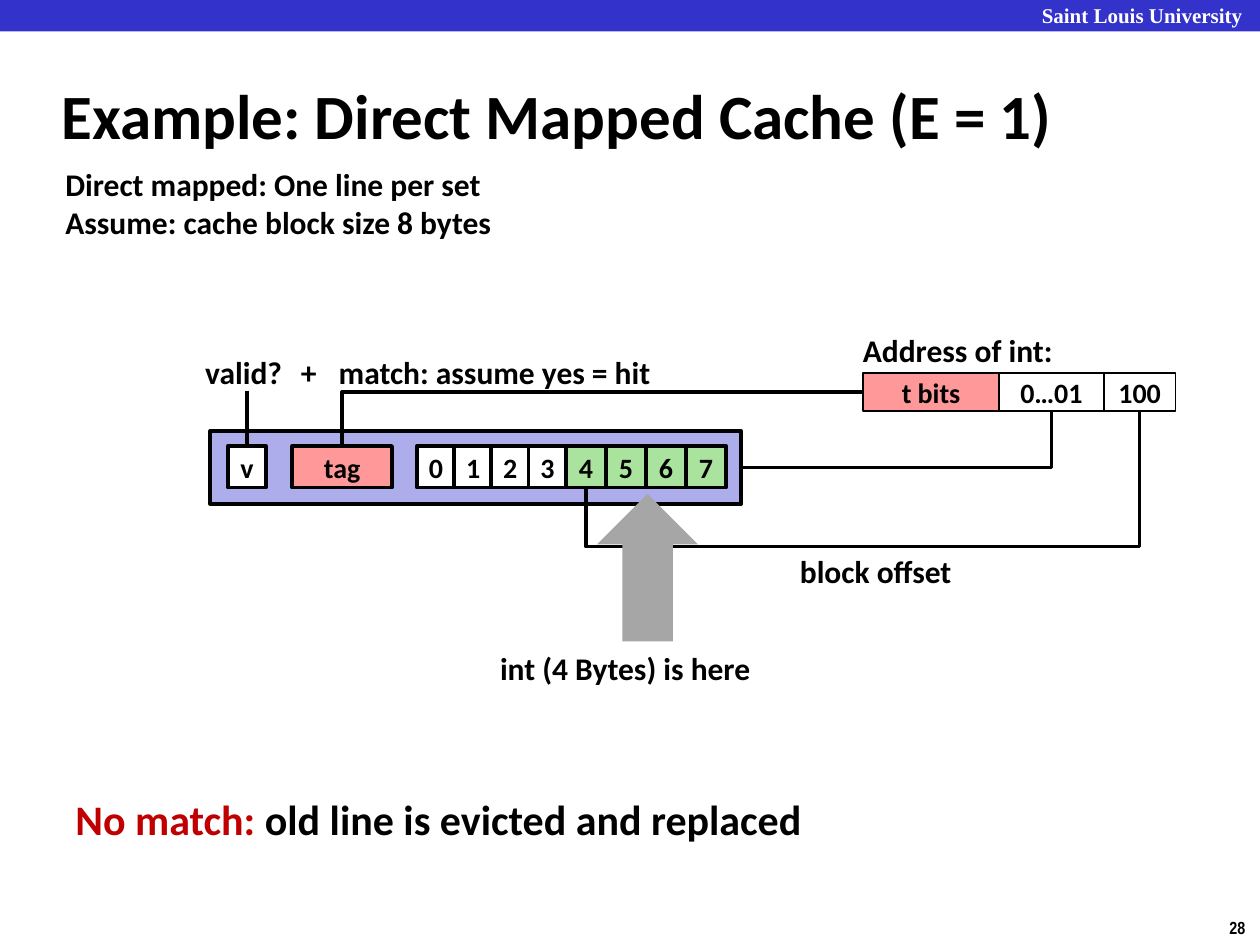
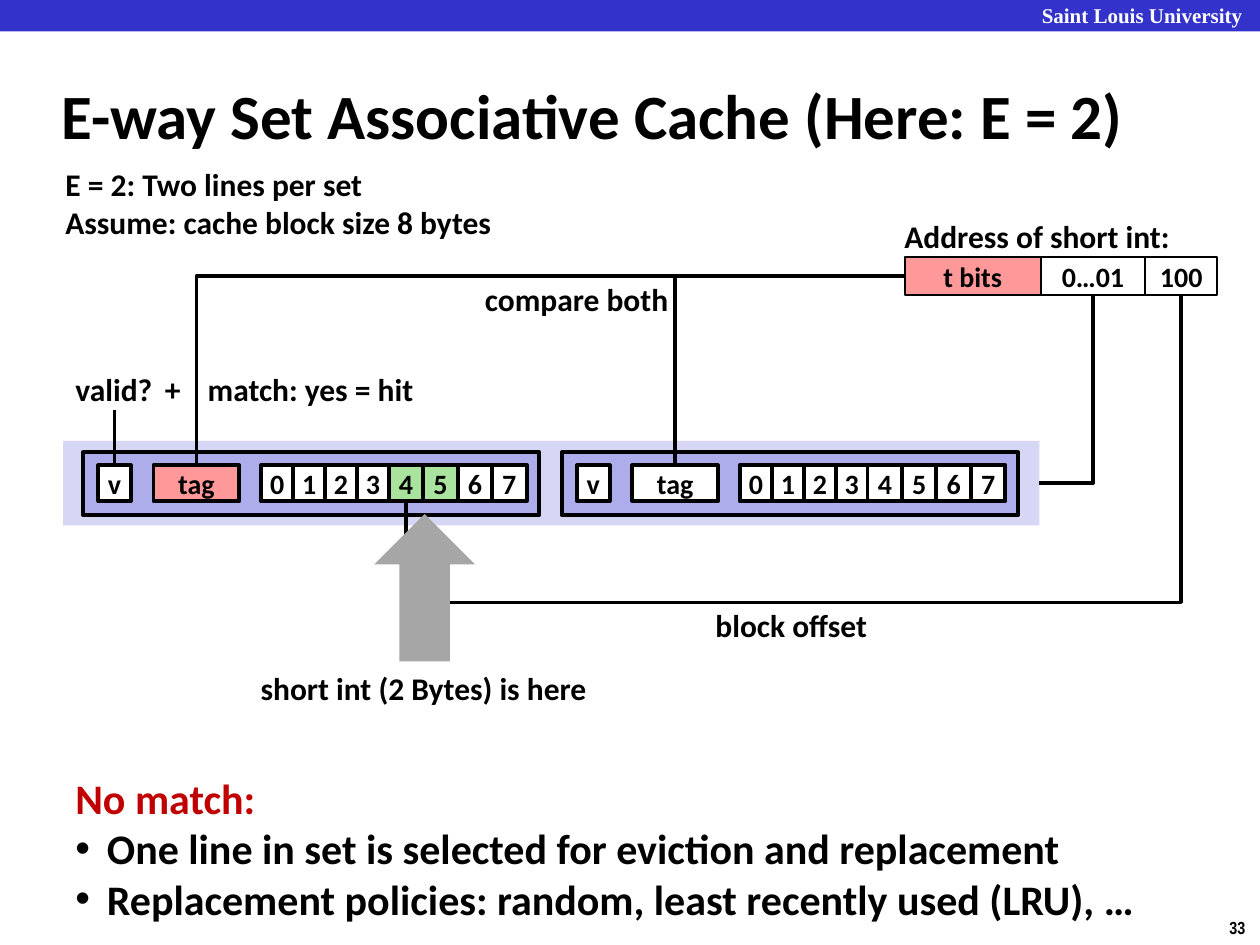
from dataclasses import dataclass

from lxml import etree
from pptx import Presentation
from pptx import util as u
from pptx.dml.color import RGBColor
from pptx.enum import shapes, text
from pptx.oxml.ns import qn

BLACK, WHITE, BLUE, RED = "000000", "FFFFFF", "3333CC", "C00000"
PINK, GREEN, GRAY = "FF9999", "A9E39D", "A6A6A6"
LINE_FILL, SET_FILL = "ADADEB", "D6D6F5"


@dataclass
class Label:
    words: str
    left: float
    top: float
    width: float
    tab: float = 0


@dataclass
class CacheLine:
    left: float
    top: float
    scale: float
    tag_fill: str
    used_bytes: range


@dataclass
class Address:
    caption: Label
    left: float
    top: float


@dataclass
class Pointer:
    left: float
    top: float


@dataclass
class CacheSlide:
    title: str
    number: str
    assumptions: list
    address: Address
    lines: list
    labels: list
    pointer: Pointer
    valid_top: float
    offset_drop: float
    miss_top: float
    miss: list
    has_set_band: bool = False


def rgb(value: str) -> RGBColor:
    return RGBColor.from_string(value)


def add_rule(shape, color: str, points: float) -> None:
    shape.line.color.rgb = rgb(color)
    shape.line.width = u.Pt(points)


def write(frame, paragraphs, *, size=18, font="Calibri", color=BLACK, align=None,
          anchor=text.MSO_ANCHOR.TOP, wrap=False, hanging=0, bullets_from=None, tab=0):
    frame.word_wrap = wrap
    frame.vertical_anchor = anchor
    if isinstance(paragraphs, str):
        paragraphs = [paragraphs]
    for index, runs in enumerate(paragraphs):
        paragraph = frame.paragraphs[0] if index == 0 else frame.add_paragraph()
        bulleted = bullets_from is not None and index >= bullets_from
        props = paragraph._p.get_or_add_pPr()
        if hanging and (bulleted or bullets_from is None):
            props.set("marL", str(u.Inches(hanging)))
            props.set("indent", str(-u.Inches(hanging)))
        if bulleted:
            etree.SubElement(props, qn("a:buFont")).set("typeface", "Arial")
            etree.SubElement(props, qn("a:buChar")).set("char", "•")
        if tab:
            stop = etree.SubElement(etree.SubElement(props, qn("a:tabLst")), qn("a:tab"))
            stop.set("pos", str(u.Inches(tab)))
            stop.set("algn", "l")
        if align is not None:
            paragraph.alignment = align
        for words, tint in [(runs, color)] if isinstance(runs, str) else runs:
            run = paragraph.add_run()
            run.text = words
            run.font.name = font
            run.font.size = u.Pt(size)
            run.font.bold = True
            run.font.color.rgb = rgb(tint)


def add_text(slide, paragraphs, left: float, top: float, width: float, height: float, **style):
    box = slide.shapes.add_textbox(*map(u.Inches, (left, top, width, height)))
    write(box.text_frame, paragraphs, **style)


def add_label(slide, label: Label) -> None:
    add_text(slide, label.words, label.left, label.top, label.width, 0.4, tab=label.tab)


def add_block(slide, left: float, top: float, width: float, height: float, fill: str, *,
              words="", outline=0.0, wrap=False, kind=shapes.MSO_SHAPE.RECTANGLE):
    block = slide.shapes.add_shape(kind, *map(u.Inches, (left, top, width, height)))
    block.shadow.inherit = False
    block.fill.solid()
    block.fill.fore_color.rgb = rgb(fill)
    if outline:
        add_rule(block, BLACK, outline)
    else:
        block.line.fill.background()
    if words:
        write(block.text_frame, words, size=16, wrap=wrap, align=text.PP_ALIGN.CENTER,
              anchor=text.MSO_ANCHOR.MIDDLE)
    return block


def add_wire(slide, kind, x1: int = 0, y1: int = 0, x2: int = 0, y2: int = 0):
    wire = slide.shapes.add_connector(kind, x1, y1, x2, y2)
    add_rule(wire, BLACK, 2)
    etree.SubElement(wire.element.spPr, qn("a:effectLst"))
    return wire


def join(slide, start, start_site: int, end, end_site: int):
    wire = add_wire(slide, shapes.MSO_CONNECTOR.ELBOW)
    wire.begin_connect(start, start_site)
    wire.end_connect(end, end_site)
    return wire


def add_corner(slide, start, start_site: int, end, end_site: int) -> None:
    wire = join(slide, start, start_site, end, end_site)
    wire.element.spPr.find(qn("a:prstGeom")).set("prst", "bentConnector2")


def add_offset_wire(slide, offset, byte, drop: float) -> None:
    wire = join(slide, offset, 2, byte, 2)
    across, down = wire.width, wire.height
    center_x, center_y = wire.left + across // 2, wire.top + down // 2
    wire.left, wire.top = center_x - down // 2, center_y - across // 2
    wire.width, wire.height = down, across
    props = wire.element.spPr
    frame = props.find(qn("a:xfrm"))
    for flip in ("flipH", "flipV"):
        frame.set(flip, "0")
    frame.set("rot", "5400000")
    guides = props.find(qn("a:prstGeom")).find(qn("a:avLst"))
    guide = etree.SubElement(guides, qn("a:gd"))
    guide.set("name", "adj1")
    guide.set("fmla", f"val {round(u.Inches(drop) / down * 100000)}")


def draw_address(slide, address: Address) -> list:
    fields = []
    left = address.left
    for words, width, fill in (("t bits", 1.08, PINK), ("0…01", 0.83, WHITE), ("100", 0.57, WHITE)):
        fields.append(add_block(slide, left, address.top, width, 0.3, fill,
                                words=words, outline=1, wrap=True))
        left += width
    add_label(slide, address.caption)
    return fields


def draw_line(slide, line: CacheLine) -> tuple:
    def cell(words: str, offset: float, width: float, fill: str):
        return add_block(slide, line.left + offset * line.scale, line.top + 0.12 * line.scale,
                         width * line.scale, 0.33 * line.scale, fill, words=words, outline=2.25)

    frame = add_block(slide, line.left, line.top, 4.21 * line.scale, 0.58 * line.scale,
                      LINE_FILL, outline=2.25)
    first, middle, end = 1.64, 2.82, 4.09
    data = []
    for number in range(8):
        half, place = divmod(number, 4)
        start, stop = ((first, middle), (middle, end))[half]
        fill = GREEN if number in line.used_bytes else WHITE
        data.append(cell(str(number), start + place * (stop - start) / 4, (0.3, 0.32)[half], fill))
    tag = cell("tag", 0.65, 0.79, line.tag_fill)
    valid = cell("v", 0.14, 0.3, WHITE)
    return frame, valid, tag, data


def draw_common(slide, content: CacheSlide) -> None:
    add_block(slide, 0, 0, 10, 0.25, BLUE)
    add_text(slide, "Saint Louis University", 8.17, -0.03, 1.9, 0.3,
             size=12, font="Times New Roman", color=WHITE, wrap=True)
    add_text(slide, content.number, 9.66, 7.23, 0.34, 0.27, size=10, font="Arial Narrow")
    add_text(slide, content.title, 0.39, 0.49, 9.02, 0.83, size=36, wrap=True,
             anchor=text.MSO_ANCHOR.MIDDLE, hanging=0.13)
    add_text(slide, content.assumptions, 0.42, 1.26, 3.61, 0.71)


def draw_slide(deck, content: CacheSlide) -> None:
    slide = deck.slides.add_slide(deck.slide_layouts[6])
    draw_common(slide, content)
    tag_bits, set_index, offset = draw_address(slide, content.address)
    band = add_block(slide, 0.5, 3.5, 7.75, 0.67, SET_FILL) if content.has_set_band else None
    drawn = [draw_line(slide, line) for line in content.lines]
    frame, valid, _, data = drawn[0]
    add_corner(slide, band or frame, 3, set_index, 2)
    for _, _, tag, _ in drawn:
        add_corner(slide, tag_bits, 1, tag, 0)
    valid_x = valid.left + valid.width // 2
    add_wire(slide, shapes.MSO_CONNECTOR.STRAIGHT, valid_x, u.Inches(content.valid_top),
             valid_x, valid.top)
    add_offset_wire(slide, offset, data[4], content.offset_drop)
    pointer = add_block(slide, content.pointer.left, content.pointer.top, 0.8, 1.17, GRAY,
                        kind=shapes.MSO_SHAPE.UP_ARROW)
    pointer.adjustments[0] = 0.5
    for label in content.labels:
        add_label(slide, label)
    add_text(slide, content.miss, 0.5, content.miss_top, 8.73 if len(content.miss) > 1 else 6.02,
             0.5 if len(content.miss) == 1 else 1.31, size=24, hanging=0.25, bullets_from=1)


SLIDES = [
    CacheSlide(
        title="Example: Direct Mapped Cache (E = 1)",
        number="28",
        assumptions=["Direct mapped: One line per set", "Assume: cache block size 8 bytes"],
        address=Address(Label("Address of int:", 6.75, 2.58, 1.72), 6.85, 2.96),
        lines=[CacheLine(1.67, 3.42, 1, PINK, range(4, 8))],
        labels=[
            Label("match: assume yes = hit", 2.59, 2.75, 2.7),
            Label("valid?\t+", 1.53, 2.75, 1.12, 0.76),
            Label("int (4 Bytes) is here", 3.87, 5.1, 2.21),
            Label("block offset", 6.25, 4.33, 1.42),
        ],
        pointer=Pointer(4.74, 3.92),
        valid_top=3.1,
        offset_drop=1.08,
        miss_top=6.25,
        miss=[[("No match: ", RED), ("old line is evicted and replaced", BLACK)]],
    ),
    CacheSlide(
        title="E-way Set Associative Cache (Here: E = 2)",
        number="33",
        assumptions=["E = 2: Two lines per set", "Assume: cache block size 8 bytes"],
        address=Address(Label("Address of short int:", 7.08, 1.67, 2.33), 7.18, 2.04),
        lines=[
            CacheLine(0.66, 3.59, 0.86, PINK, range(4, 6)),
            CacheLine(4.46, 3.59, 0.86, WHITE, range(0)),
        ],
        labels=[
            Label("compare both", 3.75, 2.17, 1.67),
            Label("valid?\t+", 0.5, 2.89, 1.12, 0.71),
            Label("match: yes = hit", 1.55, 2.89, 1.85),
            Label("block offset", 5.58, 4.76, 1.42),
            Label("short int (2 Bytes) is here", 1.97, 5.26, 2.81),
        ],
        pointer=Pointer(2.97, 4.08),
        valid_top=3.25,
        offset_drop=2.44,
        miss_top=6.08,
        miss=[
            [("No match:", RED)],
            "One line in set is selected for eviction and replacement",
            "Replacement policies: random, least recently used (LRU), …",
        ],
        has_set_band=True,
    ),
]


def main() -> None:
    deck = Presentation()
    deck.slide_width, deck.slide_height = u.Inches(10), u.Inches(7.5)
    for content in SLIDES:
        draw_slide(deck, content)
    deck.save("out.pptx")


if __name__ == "__main__":
    main()
